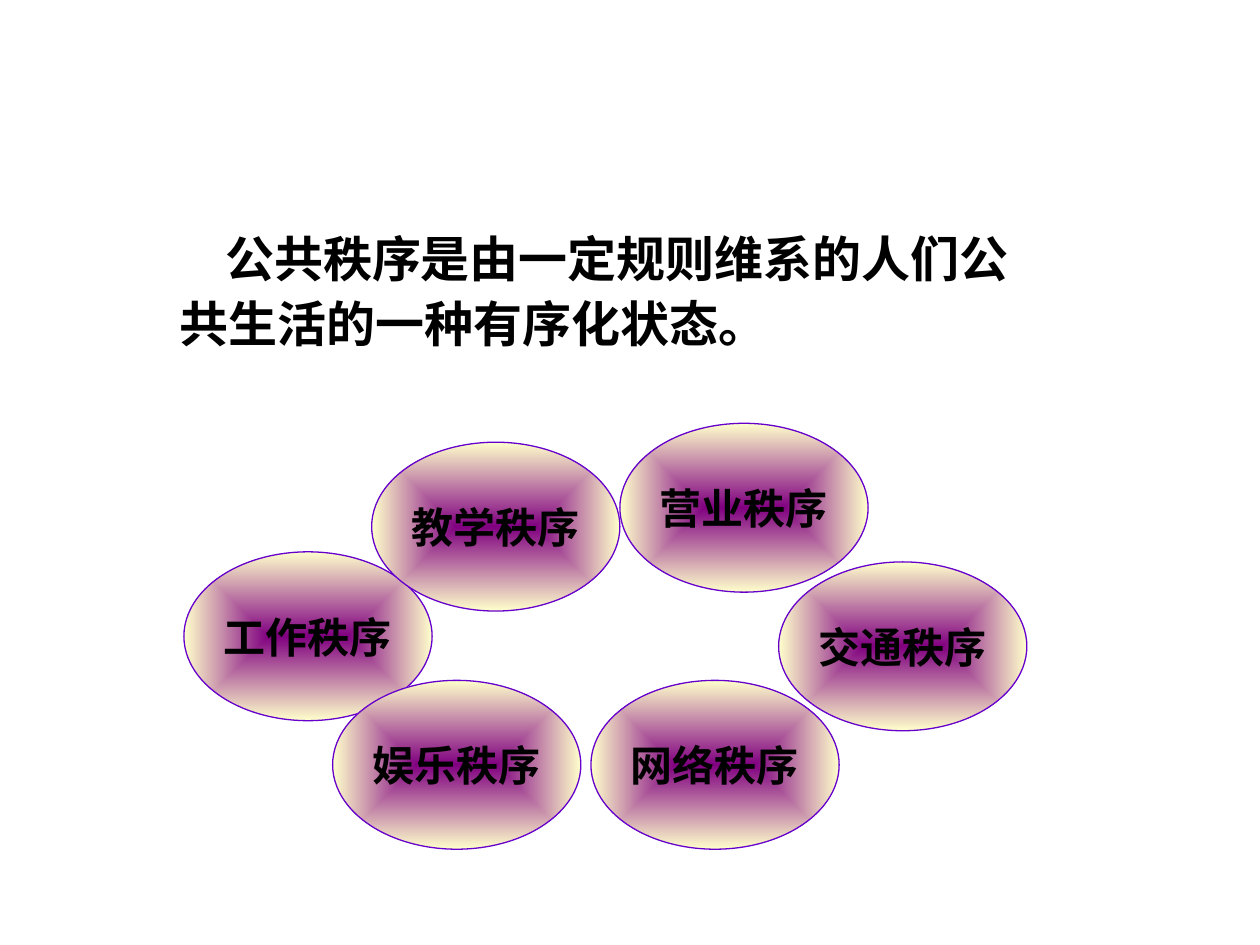
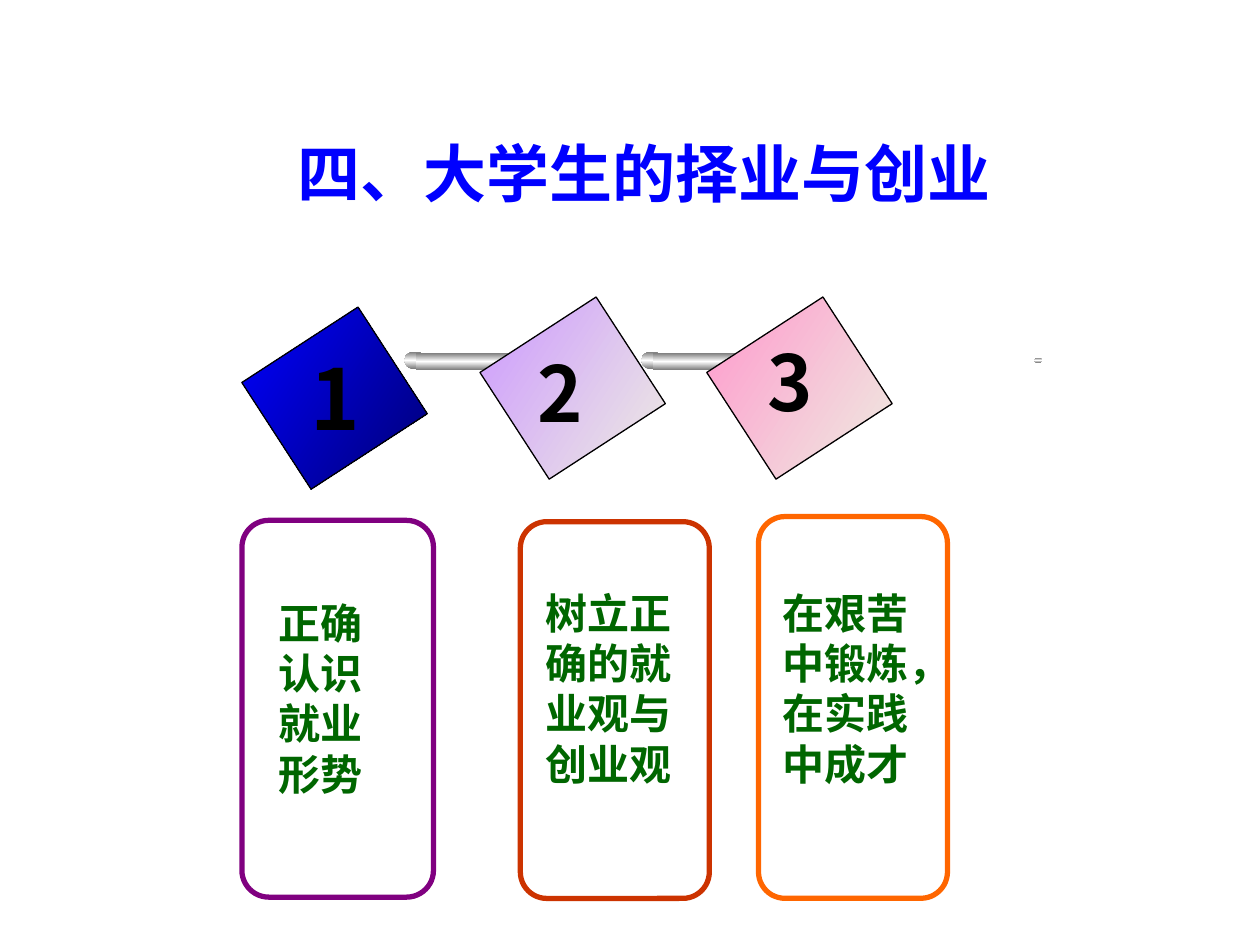
"""Build two slides: kinds of public order, and career choice for students."""
from lxml.etree import SubElement
from pptx import Presentation
from pptx.dml.color import RGBColor
from pptx.enum.shapes import MSO_SHAPE
from pptx.enum.text import MSO_ANCHOR, MSO_AUTO_SIZE, PP_ALIGN
from pptx.oxml.ns import qn
from pptx.util import Inches, Pt

BLACK = RGBColor(0x00, 0x00, 0x00)
WHITE = RGBColor(0xFF, 0xFF, 0xFF)
BLUE = RGBColor(0x00, 0x00, 0xFF)
NAVY = RGBColor(0x00, 0x00, 0x76)
PURPLE = RGBColor(0x80, 0x00, 0x80)
VIOLET = RGBColor(0x66, 0x00, 0xCC)
CREAM = RGBColor(0xFF, 0xFF, 0xCC)
LILAC = RGBColor(0xCC, 0x99, 0xFF)
PINK = RGBColor(0xFF, 0x99, 0xCC)
IVORY = RGBColor(0xEE, 0xEC, 0xE1)
GREY = RGBColor(0x76, 0x76, 0x76)
GREEN = RGBColor(0x00, 0x66, 0x00)
RED = RGBColor(0xCC, 0x33, 0x00)
ORANGE = RGBColor(0xFF, 0x66, 0x00)

CJK = "Noto Sans CJK SC"
METAL = (GREY, WHITE, GREY)


def write_text(shape, text, size, color=BLACK, font=CJK, align=PP_ALIGN.LEFT,
               wrap=True, grow=True, spacing=None, indent=None):
    """Fill a shape with bold text, one paragraph per line."""
    frame = shape.text_frame
    frame.text = text
    frame.word_wrap = wrap
    frame.auto_size = MSO_AUTO_SIZE.SHAPE_TO_FIT_TEXT if grow else MSO_AUTO_SIZE.NONE
    for paragraph in frame.paragraphs:
        paragraph.alignment = align
        if spacing:
            paragraph.line_spacing = spacing
        if indent:
            paragraph._p.get_or_add_pPr().set("indent", str(Inches(indent)))
        for run in paragraph.runs:
            run.font.size = Pt(size)
            run.font.bold = True
            run.font.name = font
            run.font.color.rgb = color
            SubElement(run.font._element, qn("a:ea"), typeface=CJK)


def add_gradient_shape(slide, kind, box, colors, angle=None, line=None, width=0.75):
    """Add a shape with evenly spaced gradient stops, radiating if no angle is given."""
    shape = slide.shapes.add_shape(kind, *map(Inches, box))
    shape.shadow.inherit = False
    shape.fill.gradient()
    gradient = shape.element.spPr.find(qn("a:gradFill"))
    gradient.clear()
    gradient.set("rotWithShape", "0")
    stops = SubElement(gradient, qn("a:gsLst"))
    for i, color in enumerate(colors):
        stop = SubElement(stops, qn("a:gs"), pos=str(100000 * i // (len(colors) - 1)))
        SubElement(stop, qn("a:srgbClr"), val=str(color))
    if angle is None:
        path = SubElement(gradient, qn("a:path"), path="rect")
        SubElement(path, qn("a:fillToRect"), l="50000", t="50000", r="50000", b="50000")
    else:
        SubElement(gradient, qn("a:lin"), ang=str(angle * 60000), scaled="0")
    if line is None:
        shape.line.fill.background()
    else:
        shape.line.color.rgb = line
        shape.line.width = Pt(width)
    return shape


deck = Presentation()
deck.slide_width = Inches(10)
deck.slide_height = Inches(7.5)
blank = deck.slide_layouts[6]

order_slide = deck.slides.add_slide(blank)
definition = order_slide.shapes.add_textbox(Inches(1.33), Inches(1.72), Inches(7.14), Inches(1.13))
write_text(definition, "公共秩序是由一定规则维系的人们公共生活的一种有序化状态。", 28,
           spacing=1.1, indent=0.36)

for order, left, top in [
    ("工作秩序", 1.46, 4.38),
    ("教学秩序", 2.95, 3.51),
    ("营业秩序", 4.92, 3.36),
    ("娱乐秩序", 2.64, 5.4),
    ("交通秩序", 6.18, 4.46),
    ("网络秩序", 4.69, 5.4),
]:
    oval = add_gradient_shape(order_slide, MSO_SHAPE.OVAL, (left, top, 1.97, 1.34),
                              (PURPLE, CREAM), line=VIOLET)
    oval.text_frame.vertical_anchor = MSO_ANCHOR.MIDDLE
    write_text(oval, order, 24, font="Arial", align=PP_ALIGN.CENTER, wrap=False, grow=False)

career_slide = deck.slides.add_slide(blank)
for left, top, colors, rod_left in [
    (2.15, 2.61, (BLUE, NAVY), 3.21),
    (4.04, 2.53, (LILAC, IVORY), 5.09),
    (5.84, 2.53, (PINK, IVORY), None),
]:
    diamond = add_gradient_shape(career_slide, MSO_SHAPE.RECTANGLE, (left, top, 1.01, 1.1),
                                 colors, angle=33, line=BLACK)
    diamond.rotation = 57
    if rod_left:
        for kind, offset, rod_top, width, height, edge in [
            (MSO_SHAPE.OVAL, 0, 2.79, 0.17, 0.14, None),
            (MSO_SHAPE.RECTANGLE, 0.09, 2.8, 0.85, 0.14, None),
            (MSO_SHAPE.OVAL, 0.86, 2.8, 0.15, 0.14, WHITE),
            (MSO_SHAPE.OVAL, 0.95, 2.84, 0.04, 0.04, None),
        ]:
            add_gradient_shape(career_slide, kind, (rod_left + offset, rod_top, width, height),
                               METAL, angle=90, line=edge, width=1)
add_gradient_shape(career_slide, MSO_SHAPE.OVAL, (8.21, 2.84, 0.06, 0.04), METAL, angle=90)

for number, size, box in [
    ("1", 48, (2.37, 2.7, 0.6, 0.9)),
    ("2", 44, (4.17, 2.69, 0.57, 0.84)),
    ("3", 44, (5.99, 2.61, 0.93, 0.84)),
]:
    label = career_slide.shapes.add_textbox(*map(Inches, box))
    write_text(label, number, size, wrap=False)

for advice, color, card_box, text_box, wrap in [
    ("正确\n认识\n就业\n形势", PURPLE, (1.92, 4.13, 1.52, 2.99), (2.11, 4.69, 1.13, 1.7), True),
    ("树立正\n确的就\n业观与\n创业观", RED, (4.13, 4.14, 1.5, 2.99), (4.23, 4.61, 1.2, 1.7), False),
    ("在艰苦\n中锻炼，\n在实践\n中成才", ORANGE, (6.02, 4.1, 1.5, 3.03), (6.11, 4.61, 1.53, 1.7), False),
]:
    card = career_slide.shapes.add_shape(MSO_SHAPE.ROUNDED_RECTANGLE, *map(Inches, card_box))
    card.adjustments[0] = 0.14
    card.shadow.inherit = False
    card.fill.background()
    card.line.color.rgb = color
    card.line.width = Pt(3)
    words = career_slide.shapes.add_textbox(*map(Inches, text_box))
    write_text(words, advice, 24, color=GREEN, font="Arial", wrap=wrap)

heading = career_slide.shapes.add_textbox(Inches(0.86), Inches(1.02), Inches(8.51), Inches(0.7))
write_text(heading, "四、大学生的择业与创业", 36, color=BLUE, align=PP_ALIGN.CENTER)

deck.save("out.pptx")
